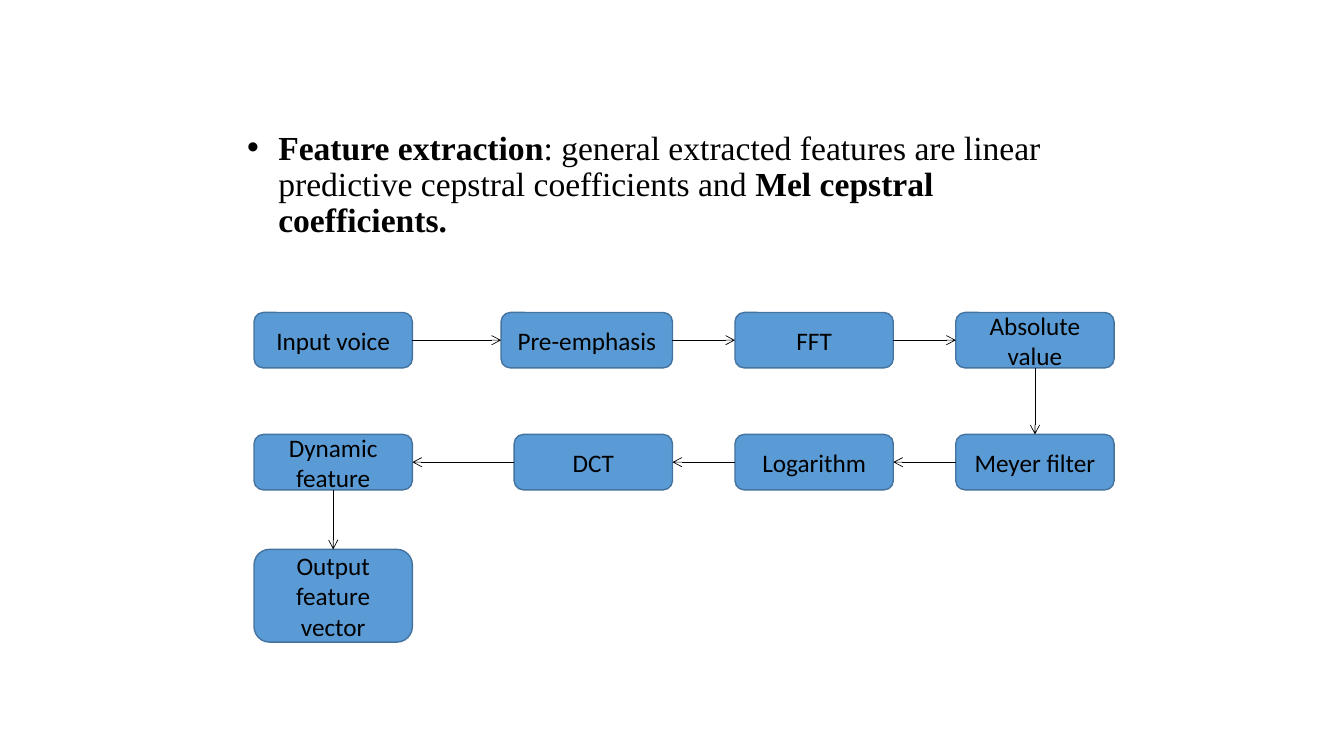
from pptx import Presentation
from pptx import util as u
from pptx.dml.color import RGBColor
from pptx.enum import shapes, text
from pptx.oxml.ns import qn
from lxml import etree

BLACK, BLUE, DARK_BLUE = "000000", "5B9BD5", "43739E"
TOP, LEFT, BOTTOM, RIGHT = range(4)  # connection sites of a rounded rectangle

STEP_WIDTH, STEP_HEIGHT = 1.57, 0.55
COLUMNS = [0, 2.58, 4.77, 6.96]
ROWS = [0, 1.21, 2.35]

# Each step: text, column, row, then any size or offset of its own
STEPS = [
    ("Input voice", 0, 0, {}),
    ("Pre-emphasis", 1, 0, {"width": 1.7, "shift": -0.13}),
    ("FFT", 2, 0, {}),
    ("Absolute value", 3, 0, {}),
    ("Meyer filter", 3, 1, {}),
    ("Logarithm", 2, 1, {}),
    ("DCT", 1, 1, {}),
    ("Dynamic feature", 0, 1, {}),
    ("Output feature vector", 0, 2, {"height": 0.92}),
]


def colour(hex_string):
    return RGBColor.from_string(hex_string)


def add_text(paragraph, wording, font="Calibri", size=18, bold=False, fill=BLACK):
    run = paragraph.add_run()
    run.text = wording
    run.font.name = font
    run.font.size = u.Pt(size)
    run.font.bold = bold
    run.font.color.rgb = colour(fill)


def add_summary(slide, left, top, width, height):
    """Fill the body placeholder with the bulleted statement."""
    body = slide.placeholders[1]
    body.left, body.top = u.Inches(left), u.Inches(top)
    body.width, body.height = u.Inches(width), u.Inches(height)
    frame = body.text_frame
    frame.word_wrap = True
    frame.auto_size = text.MSO_AUTO_SIZE.NONE
    frame.vertical_anchor = text.MSO_ANCHOR.TOP
    frame.margin_top = u.Inches(0.55)

    paragraph = frame.paragraphs[0]
    paragraph.line_spacing = 0.9
    paragraph.space_before = u.Pt(0)
    properties = paragraph._p.get_or_add_pPr()
    properties.set("marL", str(u.Inches(0.31)))
    properties.set("indent", str(u.Inches(-0.31)))
    etree.SubElement(properties, qn("a:buFont"), typeface="Arial")
    etree.SubElement(properties, qn("a:buChar"), char="•")

    for wording, bold in [
        ("Feature extraction", True),
        (": general extracted features are linear predictive cepstral coefficients and ", False),
        ("Mel cepstral coefficients.", True),
    ]:
        add_text(paragraph, wording, font="Times New Roman", size=24, bold=bold)


def add_step(slide, wording, left, top, width, height):
    step = slide.shapes.add_shape(
        shapes.MSO_SHAPE.ROUNDED_RECTANGLE,
        u.Inches(left), u.Inches(top), u.Inches(width), u.Inches(height))
    step.shadow.inherit = False
    step.fill.solid()
    step.fill.fore_color.rgb = colour(BLUE)
    step.line.color.rgb = colour(DARK_BLUE)
    step.line.width = u.Pt(1)
    frame = step.text_frame
    frame.word_wrap = True
    frame.vertical_anchor = text.MSO_ANCHOR.MIDDLE
    paragraph = frame.paragraphs[0]
    paragraph.alignment = text.PP_ALIGN.CENTER
    add_text(paragraph, wording)
    return step


def add_arrow(slide, start, start_site, end, end_site):
    arrow = slide.shapes.add_connector(shapes.MSO_CONNECTOR.STRAIGHT, 0, 0, 0, 0)
    arrow.begin_connect(start, start_site)
    arrow.end_connect(end, end_site)
    arrow.line.color.rgb = colour(BLACK)
    arrow.line.width = u.Pt(0.5)
    etree.SubElement(arrow.line._get_or_add_ln(), qn("a:tailEnd"), type="arrow")
    etree.SubElement(arrow._element.spPr, qn("a:effectLst"))


def add_flowchart(slide, left, top):
    """Lay the steps out on the grid and join each one to the next."""
    previous = None
    for wording, column, row, own in STEPS:
        step = add_step(
            slide, wording,
            left + COLUMNS[column] + own.get("shift", 0), top + ROWS[row],
            own.get("width", STEP_WIDTH), own.get("height", STEP_HEIGHT))
        if previous:
            last_step, last_column, last_row = previous
            if row > last_row:
                sites = BOTTOM, TOP
            elif column > last_column:
                sites = RIGHT, LEFT
            else:
                sites = LEFT, RIGHT
            add_arrow(slide, last_step, sites[0], step, sites[1])
        previous = step, column, row


def main():
    presentation = Presentation()
    presentation.slide_width = u.Inches(13.33)
    presentation.slide_height = u.Inches(7.5)
    slide = presentation.slides.add_slide(presentation.slide_layouts[1])

    # This slide has no title
    title = slide.shapes.title._element
    title.getparent().remove(title)

    add_summary(slide, 2.35, 0.75, 8.62, 5.91)
    add_flowchart(slide, 2.52, 3.1)
    presentation.save("out.pptx")


if __name__ == "__main__":
    main()
